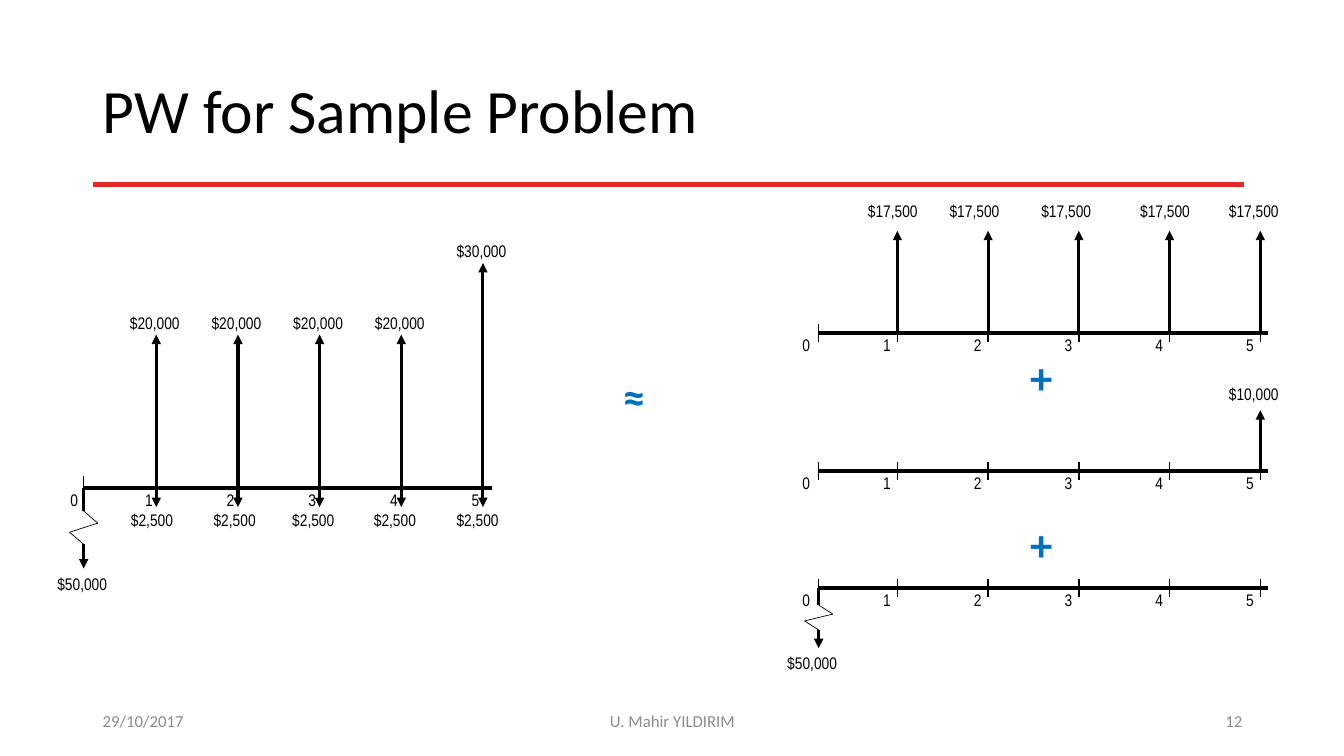
from lxml.etree import SubElement
from pptx import Presentation
from pptx.dml.color import RGBColor as Rgb
from pptx.enum.shapes import MSO_CONNECTOR as Link
from pptx.enum.text import MSO_ANCHOR as Anchor, MSO_AUTO_SIZE as Fit, PP_ALIGN as Align
from pptx.oxml.ns import qn
from pptx.util import Inches, Pt

COLORS = {"ink": "000000", "rule": "E12927", "foot": "8C8C8C", "sign": "0070C0"}


class Deck:
    """Draws cash flow diagrams on one slide in a shared style."""

    def __init__(self):
        self.prs = Presentation()
        self.prs.slide_width = Inches(13.33)
        self.prs.slide_height = Inches(7.5)
        self.slide = self.prs.slides.add_slide(self.prs.slide_layouts[5])
        self.shapes = self.slide.shapes

    def style(self, para, size, font, color, bold=False):
        para.font.size = Pt(size)
        para.font.name = font
        para.font.bold = bold
        para.font.color.rgb = Rgb.from_string(COLORS[color])

    def title(self, words):
        box = self.slide.shapes.title
        box.left, box.top, box.width, box.height = map(Inches, (0.92, 0.4, 11.5, 1.45))
        frame = box.text_frame
        frame.text = words
        frame.vertical_anchor = Anchor.MIDDLE
        para = frame.paragraphs[0]
        para.alignment = Align.LEFT
        para.line_spacing = 0.9
        self.style(para, 44, "Calibri", "ink")

    def text(self, words, x, y, w, h, size=12, font="Arial Narrow", color="ink",
             bold=False, wrap=True, fit=Fit.SHAPE_TO_FIT_TEXT,
             anchor=Anchor.TOP, align=Align.LEFT):
        box = self.shapes.add_textbox(*map(Inches, (x, y, w, h)))
        frame = box.text_frame
        frame.text = words
        frame.word_wrap = wrap
        frame.auto_size = fit
        frame.vertical_anchor = anchor
        para = frame.paragraphs[0]
        para.alignment = align
        self.style(para, size, font, color, bold)

    def foot(self, words, x, w, align):
        self.text(words, x, 6.95, w, 0.4, font="Calibri", color="foot",
                  fit=Fit.NONE, anchor=Anchor.MIDDLE, align=align)

    def sign(self, mark, x, y):
        self.text(mark, x, y, 0.43, 0.64, 32, "Calibri", "sign", bold=True, wrap=False)

    def line(self, x1, y1, x2, y2, width, color="ink", arrow=False):
        line = self.shapes.add_connector(Link.STRAIGHT, *map(Inches, (x1, y1, x2, y2)))
        line.line.color.rgb = Rgb.from_string(COLORS[color])
        line.line.width = Pt(width)
        props = line._element.spPr
        if arrow:
            SubElement(props.find(qn("a:ln")), qn("a:tailEnd"), type="triangle")
        SubElement(props, qn("a:effectLst"))

    def arrow(self, x, base, tip):
        self.line(x, base, x, tip, 2.25, arrow=True)

    def axis(self, ticks, y, end, half, shift, wide, high):
        self.shapes = self.slide.shapes.add_group_shape().shapes
        self.line(ticks[0], y, end, y, 3)
        for n, x in enumerate(ticks):
            self.line(x, y - half, x, y + half, 1)
            left = x - shift - (0 if n else 0.02)
            self.text(str(n), left, y - 0.03, wide, high)

    def sink(self, x, y, scale):
        a, b, c, d, tip = (y + scale * drop for drop in (0.23, 0.35, 0.44, 0.56, 0.8))
        self.line(x, y, x, a, 2.25)
        self.line(x, a, x + 0.14, b, 0.5)
        self.line(x + 0.14, b, x - 0.14, c, 0.5)
        self.line(x - 0.14, c, x, d, 0.5)
        self.arrow(x, d, tip)

    def net(self):
        years = [1.55 + 0.81 * n for n in range(5)]
        base = 4.84
        self.axis([0.83] + years, base, 4.88, 0.12, 0.21, 0.35, 0.3)
        self.sink(0.83, base, 1)
        self.text("$50,000", 0.47, 5.64, 0.73, 0.3)
        gains = ["$20,000"] * 4 + ["$30,000"]
        tips = [3.32] * 4 + [2.61]
        costs = [1.2, 2.02, 2.8, 3.61, 4.43]
        for x, gain, tip, left in zip(years, gains, tips, costs):
            self.arrow(x, base, base + 0.19)
            self.text("$2,500", left, 5.01, 0.73, 0.3)
            self.arrow(x, base, tip)
            self.text(gain, x - 0.36, tip - 0.27, 0.73, 0.3)

    def split(self):
        years = [8.9 + 0.9 * n for n in range(5)]
        ticks = [8.12] + years
        sizes = (12.58, 0.09, 0.24, 0.39, 0.23)
        self.axis(ticks, 3.3, *sizes)
        for x, left in zip(years, (8.51, 9.32, 10.23, 11.21, 12.09)):
            self.arrow(x, 3.3, 2.29)
            self.text("$17,500", left, 1.94, 0.8, 0.23)
        self.axis(ticks, 4.67, *sizes)
        self.arrow(years[-1], 4.67, 4.07)
        self.text("$10,000", 12.09, 3.76, 0.8, 0.3)
        self.axis(ticks, 5.83, *sizes)
        self.sink(ticks[0], 5.83, 0.75)
        self.text("$50,000", 7.71, 6.43, 0.8, 0.23)


def main():
    deck = Deck()
    deck.line(0.92, 1.83, 12.34, 1.83, 3, "rule")
    deck.title("PW for Sample Problem")
    deck.foot("29/10/2017", 0.92, 3, Align.LEFT)
    deck.foot("U. Mahir YILDIRIM", 4.42, 4.5, Align.CENTER)
    deck.foot("12", 9.42, 3, Align.RIGHT)
    deck.net()
    deck.split()
    deck.shapes = deck.slide.shapes
    deck.sign("+", 10.12, 3.42)
    deck.sign("+", 10.12, 5.08)
    deck.sign("≈", 6.08, 3.61)
    deck.prs.save("out.pptx")


if __name__ == "__main__":
    main()
